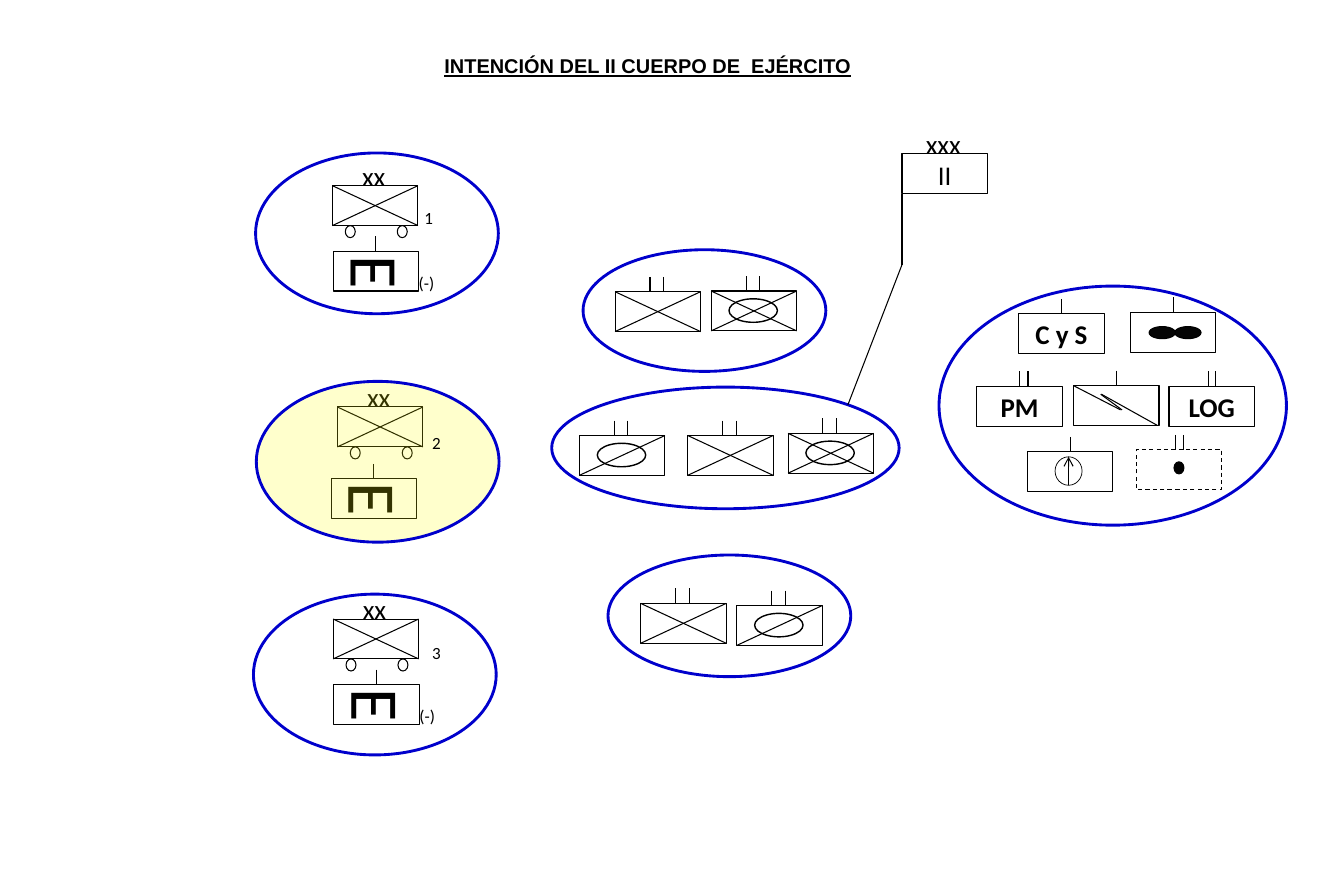
from lxml import etree
from pptx import Presentation
from pptx import util as u
from pptx.dml.color import RGBColor
from pptx.enum import dml, shapes, text
from pptx.oxml import ns

BLACK, WHITE, BLUE = "000000", "FFFFFF", "0000CC"
UNIT_W, UNIT_H, TICK_H = 60, 28, 10.5
ONE_TICK = (UNIT_W / 2,)


def rgb(value):
    return RGBColor.from_string(value)


def add_xml(parent, tag, **attrs):
    return etree.SubElement(parent, ns.qn(tag), **attrs)


class MilitaryChart:
    font = "Calibri"
    thin = 0.75

    def __init__(self, slide):
        self.slide = slide
        self.shapes = slide.shapes

    def start_group(self):
        """Send the elements that follow into a new group."""
        self.shapes = self.slide.shapes.add_group_shape().shapes

    def end_group(self):
        self.shapes = self.slide.shapes

    def title(self, content, x, y, w, h):
        s = self.slide.shapes.title
        s.left, s.top, s.width, s.height = map(u.Pt, (x, y, w, h))
        tf = s.text_frame
        tf.text = content
        tf.word_wrap = False
        tf.auto_size = text.MSO_AUTO_SIZE.NONE
        tf.vertical_anchor = text.MSO_ANCHOR.MIDDLE
        p = tf.paragraphs[0]
        p.alignment = text.PP_ALIGN.CENTER
        f = p.runs[0].font
        f.name, f.size, f.bold, f.underline = "Arial", u.Pt(14), True, True
        f.color.rgb = rgb(BLACK)

    def style_text(self, s, content, size, bold=False, align=None):
        tf = s.text_frame
        tf.text = content
        p = tf.paragraphs[0]
        p.alignment = align
        f = p.runs[0].font
        f.name, f.size, f.bold = self.font, u.Pt(size), bold
        f.color.rgb = rgb(BLACK)

    def label(self, content, x, y, w, h, size=12, align=None, rotation=0):
        s = self.shapes.add_textbox(*map(u.Pt, (x, y, w, h)))
        s.text_frame.word_wrap = True
        s.rotation = rotation
        self.style_text(s, content, size, align=align)

    def shape(self, kind, x, y, w, h, fill=None, color=BLACK, width=thin, alpha=None):
        s = self.shapes.add_shape(kind, *map(u.Pt, (x, y, w, h)))
        s.shadow.inherit = False
        if fill:
            s.fill.solid()
            s.fill.fore_color.rgb = rgb(fill)
            if alpha:
                clr = s.fill._xPr.find(".//" + ns.qn("a:srgbClr"))
                add_xml(clr, "a:alpha", val=str(alpha * 1000))
        else:
            s.fill.background()
        s.line.color.rgb = rgb(color)
        s.line.width = u.Pt(width)
        return s

    def ellipse(self, *box, **style):
        return self.shape(shapes.MSO_SHAPE.OVAL, *box, **style)

    def zone(self, x, y, w, h, **style):
        self.ellipse(x, y, w, h, color=BLUE, width=2, **style)

    def line(self, x1, y1, x2, y2, arrow=False):
        s = self.shapes.add_connector(
            shapes.MSO_CONNECTOR.STRAIGHT, *map(u.Pt, (x1, y1, x2, y2)))
        s.line.color.rgb = rgb(BLACK)
        s.line.width = u.Pt(self.thin)
        if arrow:
            add_xml(s.line._get_or_add_ln(), "a:tailEnd", type="arrow")
        add_xml(s._element.spPr, "a:effectLst")
        return s

    def unit(self, x, y, ticks=(), name=None, anchor=text.MSO_ANCHOR.MIDDLE):
        """Unit box with size ticks at the given offsets along its top."""
        box = self.shape(shapes.MSO_SHAPE.RECTANGLE, x, y, UNIT_W, UNIT_H, fill=WHITE)
        for dx in ticks:
            tick = self.line(x + dx, y - TICK_H, x + dx, y)
            if dx == UNIT_W / 2:
                tick.end_connect(box, 0)
        if name:
            self.style_text(box, name, 19, anchor == text.MSO_ANCHOR.MIDDLE,
                            text.PP_ALIGN.CENTER)
            box.text_frame.word_wrap = False
            box.text_frame.vertical_anchor = anchor
        return box

    def echelon(self, content, x, y):
        self.label(content, x + 4, y - 22, 50, 30, 19, text.PP_ALIGN.CENTER)

    def maneuver(self, kind, x, y, ticks=(24.5, 34)):
        """Infantry has a cross, recon a slash and oval, mech a cross and oval."""
        self.unit(x, y, ticks)
        self.line(x + UNIT_W, y, x, y + UNIT_H)
        if kind != "recon":
            self.line(x + UNIT_W, y + UNIT_H, x, y)
        if kind != "infantry":
            self.ellipse(x + 12.5, y + 5.5, 34, 16.5, width=1)

    def division(self, number, unit, engineers, zone, number_at, reduced, fill):
        self.start_group()
        x, y = unit
        self.maneuver("infantry", x, y, ())
        for dx in (9, 45.5):
            self.ellipse(x + dx, y + UNIT_H, 7, 8.5)
        self.echelon("xx", x, y)
        x, y = engineers
        self.unit(x, y, ONE_TICK)
        self.label("E", x + 17.5, y - 23.5, 27, 65.5, 48, rotation=90)
        if reduced:
            self.label("(-)", x + 53, y + 11.5, 28, 21.5)
        self.zone(*zone, 170.5, 113, fill=fill, alpha=20)
        self.end_group()
        self.label(number, *number_at, 28, 21.5)

    def support(self):
        self.start_group()
        self.unit(715.5, 220.5, ONE_TICK, "C y S")
        self.unit(686, 271.5, (30, 36), "PM")
        self.unit(821, 271.5, (27.5, 33), "LOG")

        x, y = 754, 271
        self.unit(x, y, ONE_TICK)
        for x1, y1, x2, y2 in ((0, 0, 33, 17), (19.5, 6, 59, 28), (19, 6, 34, 17)):
            self.line(x + x1, y + y1, x + x2, y + y2)

        x, y = 721.5, 317.5
        self.unit(x, y, ONE_TICK)
        dial = self.ellipse(x + 19.5, y + 3.5, 19, 20, fill=WHITE, width=0.5)
        needle = self.line(x + 29, y + 23.5, x + 29, y + 3.5, arrow=True)
        needle.begin_connect(dial, 2)
        needle.end_connect(dial, 0)

        x, y = 798, 316
        box = self.unit(x, y, (27.5, 33))
        box.line.dash_style = dml.MSO_LINE.DASH
        self.ellipse(x + 26.5, y + 8.5, 7, 8.5, fill=BLACK)

        x, y = 794, 219.5
        self.unit(x, y, ONE_TICK)
        for dx in (31, 13):
            self.ellipse(x + dx, y + 10, 18.5, 8.5, fill="050505")
        self.zone(659.5, 201, 244, 168)
        self.end_group()


DIVISIONS = [
    ("1", (233.5, 130.5), (234, 176.5), (179.5, 107.5), (291, 142.5), True, None),
    ("2", (237, 286), (232.5, 336.5), (180, 268), (296.5, 300), False, "FFFF00"),
    ("3", (234, 435), (234.5, 481), (178, 417.5), (296.5, 448), True, None),
]
BATTLE_GROUPS = [
    ((409.5, 175.5, 170.5, 85.5),
     [("mech", 499.5, 204.5), ("infantry", 432, 205)]),
    ((387.5, 272, 244, 85.5),
     [("recon", 407, 306), ("infantry", 483, 306), ("mech", 553.5, 304.5)]),
    ((427, 390, 170.5, 85.5),
     [("infantry", 450, 424), ("recon", 517.5, 425.5)]),
]


def main():
    prs = Presentation()
    prs.slide_width, prs.slide_height = u.Pt(943.92), u.Pt(612.72)
    chart = MilitaryChart(prs.slides.add_slide(prs.slide_layouts[5]))
    chart.title("INTENCIÓN DEL II CUERPO DE  EJÉRCITO", 304, 34, 302, 24.5)
    for division in DIVISIONS:
        chart.division(*division)
    for zone, units in BATTLE_GROUPS:
        chart.start_group()
        for unit in units:
            chart.maneuver(*unit)
        chart.zone(*zone)
    chart.support()

    chart.start_group()
    chart.unit(633.5, 108, name="II", anchor=text.MSO_ANCHOR.TOP)
    chart.echelon("xxx", 633.5, 108)
    chart.line(633.5, 136, 633.5, 186)
    chart.end_group()
    chart.line(595.5, 284.5, 633.5, 186)
    prs.save("out.pptx")


if __name__ == "__main__":
    main()
